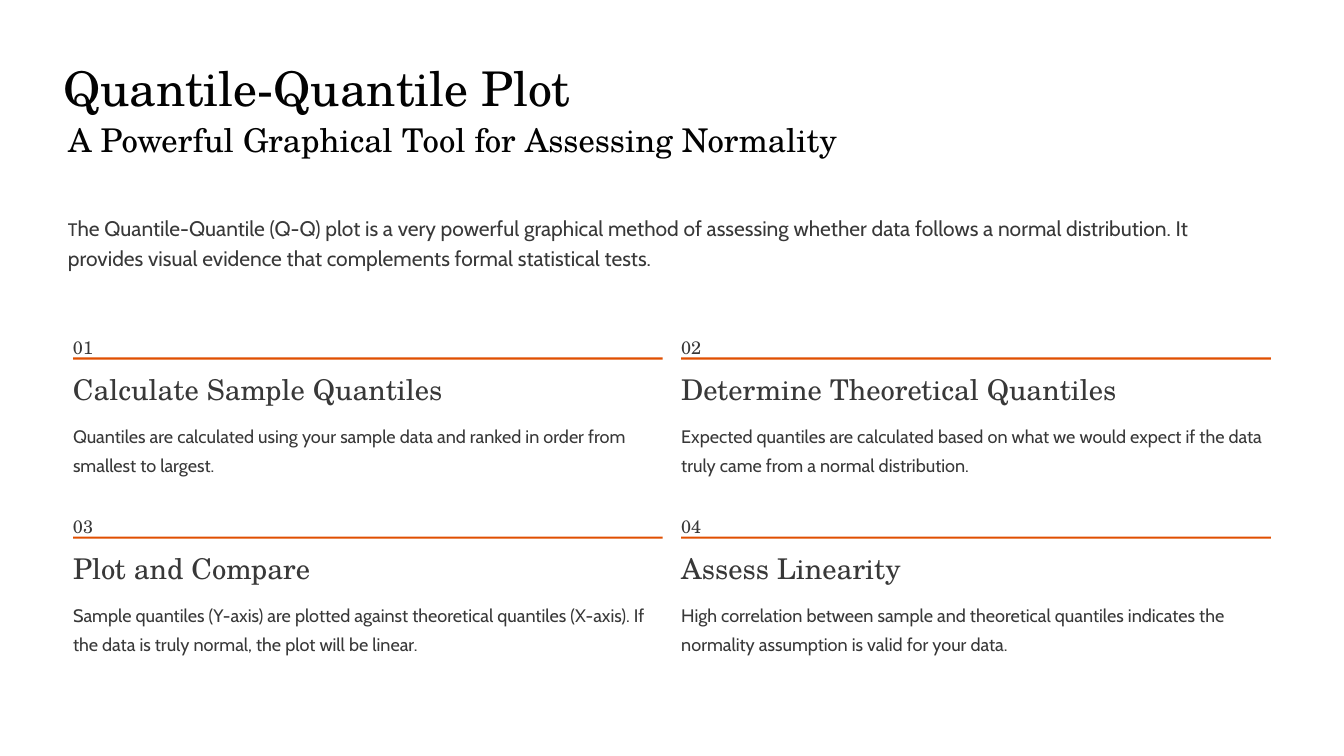
import pptx
import pptx.util
import pptx.dml.color
import pptx.enum.shapes

Pt = pptx.util.Pt
COLORS = {"back": "FFFFFF", "title": "020202", "text": "383838",
          "rule": "E04F00"}
SERIF, SANS = "TeX Gyre Schola", "Cabin"

STEPS = [
    ("Calculate Sample Quantiles", 330,
     "Quantiles are calculated using your sample data and ranked in order "
     "from smallest to largest."),
    ("Determine Theoretical Quantiles", 385,
     "Expected quantiles are calculated based on what we would expect if the "
     "data truly came from a normal distribution."),
    ("Plot and Compare", 246.2,
     "Sample quantiles (Y-axis) are plotted against theoretical quantiles "
     "(X-axis). If the data is truly normal, the plot will be linear."),
    ("Assess Linearity", 246.2,
     "High correlation between sample and theoretical quantiles indicates the "
     "normality assumption is valid for your data."),
]


class Deck:
    def __init__(self, wide, high):
        self.prs = pptx.Presentation()
        self.prs.slide_width, self.prs.slide_height = Pt(wide), Pt(high)
        self.slide = self.prs.slides.add_slide(self.prs.slide_layouts[6])
        self.rect((0, 0, wide, high), "back")

    def color(self, name):
        return pptx.dml.color.RGBColor.from_string(COLORS[name])

    def text(self, box, runs, font, lead, color="text"):
        """Add one paragraph; runs are (words, size) pairs."""
        frame = self.slide.shapes.add_textbox(*map(Pt, box)).text_frame
        frame.margin_left = frame.margin_right = 0
        frame.margin_top = frame.margin_bottom = 0
        frame.word_wrap = True
        para = frame.paragraphs[0]
        para.line_spacing = Pt(lead)
        for words, size in runs:
            run = para.add_run()
            run.text = words
            run.font.name = font
            run.font.size = Pt(size)
            run.font.color.rgb = self.color(color)

    def rect(self, box, color):
        shape = self.slide.shapes.add_shape(
            pptx.enum.shapes.MSO_SHAPE.RECTANGLE, *map(Pt, box))
        shape.shadow.inherit = False
        shape.fill.solid()
        shape.fill.fore_color.rgb = self.color(color)
        shape.line.fill.background()

    def step(self, left, top, num, title, width, body):
        self.text((left, top, 22, 19.4), [(num, 15.5)], SERIF, 25)
        self.rect((left, top + 24.5, 505.4, 1.8), "rule")
        self.text((left, top + 36, width, 31), [(title, 24.5)], SERIF, 30.5)
        self.text((left, top + 76.3, 505.4, 49.7), [(body, 15.5)], SANS, 25)


def main():
    deck = Deck(1152, 648)
    deck.text((54, 48.2, 450, 51.1), [("Quantile-Quantile Plot", 41)],
              SERIF, 51, "title")
    deck.text((58.3, 95, 735.1, 41),
              [("A Powerful Graphical Tool for Assessing Normality", 28)],
              SERIF, 41, "title")
    deck.text((58.3, 181.7, 1026.7, 49.7), [
        ("T", 15.5),
        ("he Quantile-Quantile (Q-Q) plot is a very powerful graphical method "
         "of assessing whether data follows a normal distribution. It provides "
         "visual evidence that complements formal statistical tests.", 18),
    ], SANS, 25)
    for i, (title, width, body) in enumerate(STEPS):
        row, col = divmod(i, 2)
        deck.step(62.6 + col * 521.3, 281.9 + row * 153.5, f"{i + 1:02}",
                  title, width, body)
    deck.prs.save("out.pptx")


if __name__ == "__main__":
    main()
